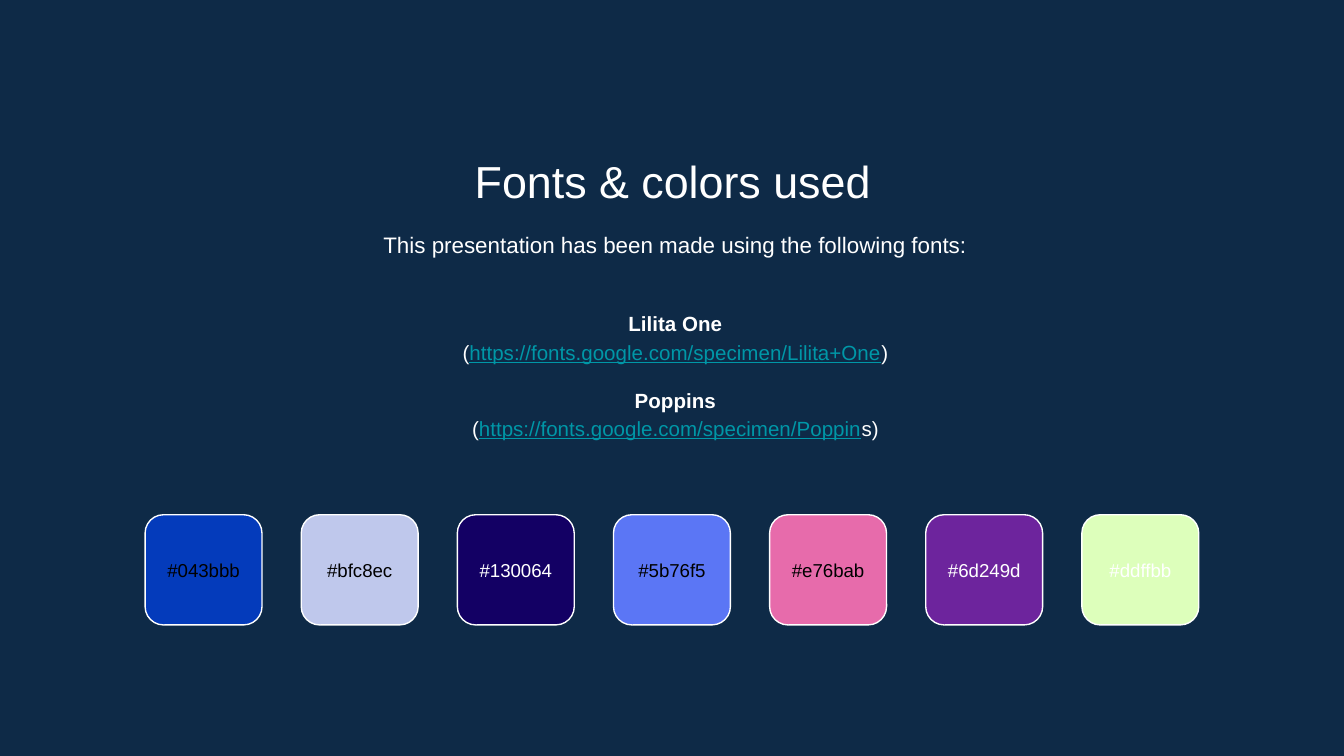
from dataclasses import dataclass

from pptx import Presentation
from pptx.dml.color import RGBColor
from pptx.enum.shapes import MSO_SHAPE as Shape
from pptx.enum.text import MSO_ANCHOR as Anchor, PP_ALIGN as Align
from pptx.slide import Slide
from pptx.text.text import TextFrame
from pptx.util import Inches, Pt

NAVY = RGBColor(0x0E, 0x2A, 0x47)
WHITE = RGBColor(0xFF, 0xFF, 0xFF)
BLACK = RGBColor(0x00, 0x00, 0x00)
TEAL = RGBColor(0x00, 0x97, 0xA7)
FONT = "Arial"

SLIDE_WIDTH = Inches(10)
SLIDE_HEIGHT = SLIDE_WIDTH * 9 // 16
SWATCH_LEFT, SWATCH_TOP = 1.08, 3.83
SWATCH_WIDTH, SWATCH_HEIGHT = 0.87, 0.82
LAST_SWATCH_LEFT = 8.05
LABEL_TOP, LABEL_HEIGHT = 4, 0.48


@dataclass
class Swatch:
    code: str
    label_color: RGBColor


@dataclass
class FontCredit:
    name: str
    link: str
    ending: str


SWATCHES = [
    Swatch("#043bbb", BLACK),
    Swatch("#bfc8ec", BLACK),
    Swatch("#130064", WHITE),
    Swatch("#5b76f5", BLACK),
    Swatch("#e76bab", BLACK),
    Swatch("#6d249d", WHITE),
    Swatch("#ddffbb", WHITE),
]
CREDITS = [
    FontCredit("Lilita One", "https://fonts.google.com/specimen/Lilita+One", ")"),
    FontCredit("Poppins", "https://fonts.google.com/specimen/Poppin", "s)"),
]


def format_frame(frame: TextFrame, size: float, color: RGBColor, anchor: Anchor,
                 line_spacing: float = 1.0) -> None:
    frame.word_wrap = True
    frame.vertical_anchor = anchor
    frame.margin_left = frame.margin_right = Inches(0.1)
    frame.margin_top = frame.margin_bottom = Inches(0.1)
    for paragraph in frame.paragraphs:
        paragraph.alignment = Align.CENTER
        paragraph.line_spacing = line_spacing
        for run in paragraph.runs:
            run.font.name = FONT
            run.font.size = Pt(size)
            run.font.color.rgb = color


def add_text(slide: Slide, left: float, top: float, width: float, height: float) -> TextFrame:
    box = slide.shapes.add_textbox(Inches(left), Inches(top), Inches(width), Inches(height))
    return box.text_frame


def add_title(slide: Slide) -> None:
    title = slide.shapes.title
    title.left, title.top = Inches(1.15), Inches(1.04)
    title.width, title.height = Inches(7.71), Inches(0.53)
    title.text_frame.text = "Fonts & colors used"
    format_frame(title.text_frame, 24, WHITE, Anchor.TOP)


def add_credits(slide: Slide) -> None:
    frame = add_text(slide, 1.17, 2.1, 7.71, 1.37)
    links = []
    for index, credit in enumerate(CREDITS):
        name = frame.add_paragraph() if index else frame.paragraphs[0]
        name.text = credit.name
        name.runs[0].font.bold = True
        if index:
            name.space_before = Pt(10.6)
        address = frame.add_paragraph()
        for text in ("(", credit.link, credit.ending):
            address.add_run().text = text
        links.append(address.runs[1])
    format_frame(frame, 11, WHITE, Anchor.MIDDLE, 1.15)
    for link in links:
        link.font.color.rgb = TEAL
        link.font.underline = True


def add_swatch(slide: Slide, swatch: Swatch, left: float) -> None:
    tile = slide.shapes.add_shape(
        Shape.ROUNDED_RECTANGLE, Inches(left), Inches(SWATCH_TOP),
        Inches(SWATCH_WIDTH), Inches(SWATCH_HEIGHT))
    tile.shadow.inherit = False
    tile.fill.solid()
    tile.fill.fore_color.rgb = RGBColor.from_string(swatch.code[1:].upper())
    tile.line.color.rgb = WHITE
    tile.line.width = Pt(0.75)
    label = add_text(slide, left, LABEL_TOP, SWATCH_WIDTH, LABEL_HEIGHT)
    label.text = swatch.code
    format_frame(label, 10, swatch.label_color, Anchor.MIDDLE)


def main() -> None:
    presentation = Presentation()
    presentation.slide_width = SLIDE_WIDTH
    presentation.slide_height = SLIDE_HEIGHT
    slide = presentation.slides.add_slide(presentation.slide_layouts[5])
    slide.background.fill.solid()
    slide.background.fill.fore_color.rgb = NAVY

    add_title(slide)
    intro = add_text(slide, 1.17, 1.59, 7.71, 0.48)
    intro.text = "This presentation has been made using the following fonts:"
    format_frame(intro, 12, WHITE, Anchor.TOP, 1.15)
    add_credits(slide)

    pitch = (LAST_SWATCH_LEFT - SWATCH_LEFT) / (len(SWATCHES) - 1)
    for index, swatch in enumerate(SWATCHES):
        add_swatch(slide, swatch, SWATCH_LEFT + index * pitch)

    presentation.save("out.pptx")


if __name__ == "__main__":
    main()
